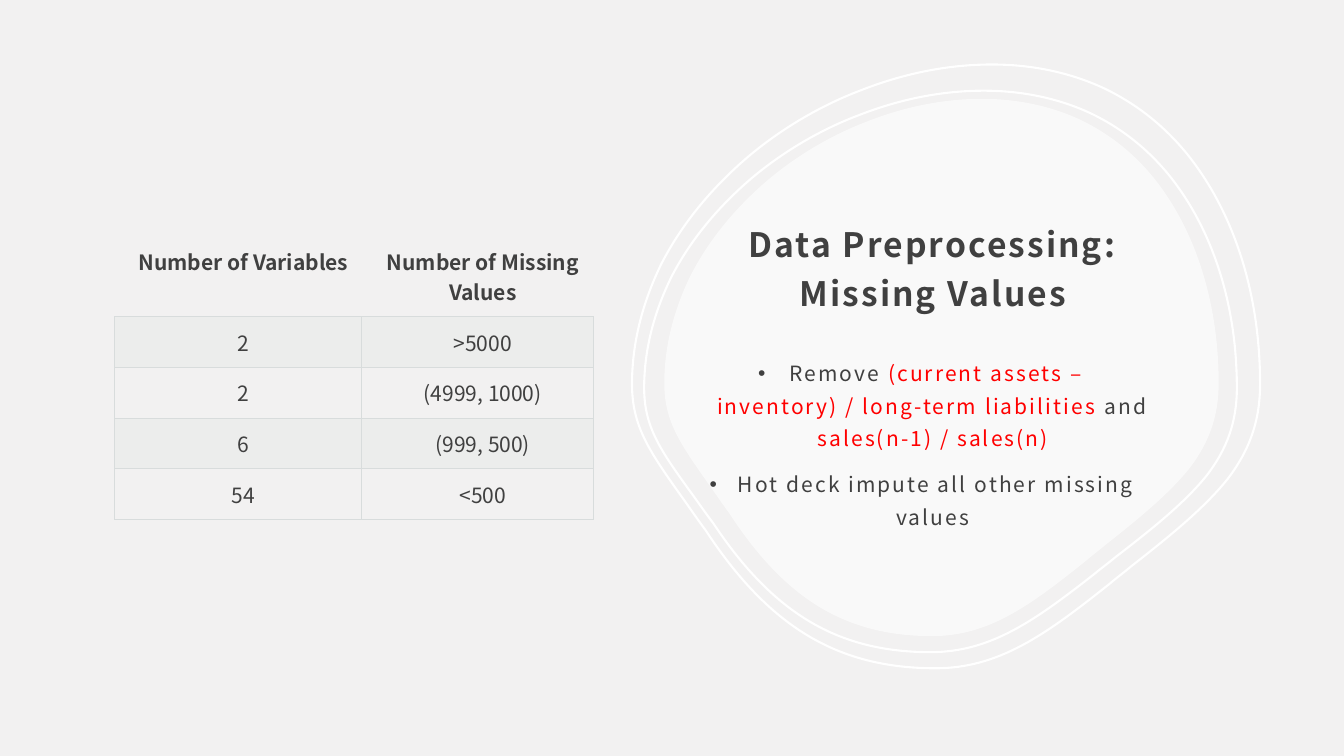
from dataclasses import dataclass
from pptx import Presentation
from pptx import util as u
from pptx.dml.color import RGBColor
from pptx.enum import text
from pptx.oxml import parse_xml
from pptx.oxml.ns import nsdecls, qn


@dataclass(frozen=True)
class Theme:
    """Hold the colours and type of the slide."""
    font: str = "Noto Sans CJK JP"
    ink: str = "404040"
    red: str = "FF0000"
    back: str = "F2F1F1"
    white: str = "FFFFFF"
    band: str = "D8DEDC"
    rule: str = "D8DCDC"
    head: float = 24
    body: float = 15
    line: float = 1.5
    track: int = 150


T = Theme()
WIDE, HIGH = u.Pt(960), u.Pt(540)
TABLE = (8.55, 31.2, 35.63, 35.87)
TITLE = (51.9, 26.2, 35.03, 16.53)
BODY = (51.9, 45.07, 35.03, 27.6)
RINGS = [(47.93, 12, 44.1, 74.27), (47.03, 8.53, 46.73, 79.87)]
DISC = (49.43, 13.07, 41.25, 71.07)

SPAN = (623, 599)
START = (357, 0)
CURVES = [
    ((397, 0), (435, 8), (469, 24)),
    ((500, 39), (527, 60), (550, 88)),
    ((597, 146), (623, 227), (623, 317)),
    ((623, 353), (613, 382), (591, 411)),
    ((567, 441), (532, 469), (495, 498)),
    ((488, 504), (481, 509), (474, 515)),
    ((410, 566), (364, 599), (301, 599)),
    ((204, 599), (136, 558), (73, 462)),
    ((64, 450), (56, 438), (48, 427)),
    ((16, 382), (0, 358), (0, 317)),
    ((0, 277), (10, 237), (29, 198)),
    ((48, 161), (75, 127), (110, 96)),
    ((143, 67), (184, 42), (226, 26)),
    ((269, 9), (313, 0), (357, 0)),
]
ROWS = [
    ("Number of Variables", "Number of Missing Values"),
    ("2", ">5000"),
    ("2", "(4999, 1000)"),
    ("6", "(999, 500)"),
    ("54", "<500"),
]
POINTS = [
    [("Remove ", T.ink),
     ("(current assets – inventory) / long-term liabilities", T.red),
     (" and ", T.ink),
     ("sales(n-1) / sales(n)", T.red)],
    [("Hot deck impute all other missing values", T.ink)],
]


def rgb(code):
    """Turn a hex code into a colour."""
    return RGBColor.from_string(code)


def area(box):
    """Turn shares of the slide in percent into lengths."""
    x, y, w, h = box
    return [round(v * side / 100) for v, side in ((x, WIDE), (y, HIGH), (w, WIDE), (h, HIGH))]


def write(para, words, size=T.body, color=T.ink, bold=False, track=0):
    """Add a run of text to a centred paragraph."""
    para.alignment = text.PP_ALIGN.CENTER
    run = para.add_run()
    run.text = words
    font = run.font
    font.name, font.size, font.bold = T.font, u.Pt(size), bold
    font.color.rgb = rgb(color)
    if track:
        font._element.set("spc", str(track))


def fade(fill, color, share):
    """Set a solid fill with the given percentage of opacity."""
    fill.solid()
    fill.fore_color.rgb = rgb(color)
    tint = fill._xPr.find(qn("a:solidFill"))[0]
    tint.append(parse_xml(f'<a:alpha {nsdecls("a")} val="{share * 1000}"/>'))


def bend(shape):
    """Turn the straight sides of the blob into curves."""
    sides = list(shape._element.iter(qn("a:lnTo")))
    for side, curve in zip(sides, CURVES):
        spots = "".join(f'<a:pt x="{x}" y="{y}"/>' for x, y in curve)
        side.getparent().replace(side, parse_xml(
            f'<a:cubicBezTo {nsdecls("a")}>{spots}</a:cubicBezTo>'))


def blob(slide, box, layer, solid=False):
    """Draw the blob in its box as a ring or a pale disc."""
    x, y, w, h = area(box)
    pen = slide.shapes.build_freeform(*START, (w / SPAN[0], h / SPAN[1]))
    pen.add_line_segments([curve[-1] for curve in CURVES], close=True)
    shape = pen.convert_to_shape(x, y)
    bend(shape)
    shape.shadow.inherit = False
    if solid:
        fade(shape.fill, T.white, 60)
        shape.line.fill.background()
    else:
        shape.fill.background()
        shape.line.color.rgb = rgb(T.white)
        shape.line.width = u.Pt(T.line)
    slide.shapes._spTree.insert(layer + 2, shape._element)


def frame(holder, box, anchor):
    """Place a placeholder and return its text frame."""
    holder.left, holder.top, holder.width, holder.height = area(box)
    tf = holder.text_frame
    tf.word_wrap = True
    tf.auto_size = text.MSO_AUTO_SIZE.NONE
    tf.vertical_anchor = anchor
    tf.margin_left = tf.margin_right = tf.margin_top = u.Inches(0.12)
    tf.margin_bottom = u.Inches(0.1)
    return tf


def title(slide, box):
    """Write the title above the list."""
    para = frame(slide.shapes.title, box, text.MSO_ANCHOR.BOTTOM).paragraphs[0]
    para.line_spacing = 1.2
    para.space_before = u.Pt(0)
    write(para, "Data Preprocessing: Missing Values", size=T.head, bold=True, track=T.track)


def points(slide, box):
    """Write the bulleted list."""
    tf = frame(slide.placeholders[1], box, text.MSO_ANCHOR.TOP)
    for i, parts in enumerate(POINTS):
        para = tf.add_paragraph() if i else tf.paragraphs[0]
        para.line_spacing = 1.3
        para.space_before, para.space_after = u.Pt(9.3), u.Pt(0)
        for words, color in parts:
            write(para, words, color=color, track=T.track)
        props = para._p.get_or_add_pPr()
        props.set("marL", "0")
        props.set("indent", str(-u.Inches(0.31)))
        props.append(parse_xml(f'<a:buChar {nsdecls("a")} char="•"/>'))


def edge(cell, sides):
    """Rule the given sides of a cell."""
    props = cell._tc.get_or_add_tcPr()
    for i, side in enumerate(sides):
        props.insert(i, parse_xml(
            f'<a:ln{side} {nsdecls("a")} w="{u.Pt(0.75)}"><a:solidFill>'
            f'<a:srgbClr val="{T.rule}"/></a:solidFill></a:ln{side}>'))


def grid(slide, box):
    """Build the table of missing values."""
    x, y, w, h = area(box)
    table = slide.shapes.add_table(len(ROWS), 2, x, y, w, h).table
    table.first_row = table.horz_banding = False
    style = table._tbl.tblPr.find(qn("a:tableStyleId"))
    style.text = "{2D5ABB26-0587-4C30-8999-92F81FD0307C}"
    for col, size in zip(table.columns, (2.45, 2.3)):
        col.width = u.Inches(size)
    for r, words in enumerate(ROWS):
        table.rows[r].height = u.Inches(0.49 if r else 0.74)
        for c, word in enumerate(words):
            cell = table.cell(r, c)
            cell.margin_left = u.Inches(0.2)
            cell.margin_right = cell.margin_top = cell.margin_bottom = u.Inches(0.1)
            write(cell.text_frame.paragraphs[0], word, bold=r == 0)
            if r % 2:
                fade(cell.fill, T.band, 20)
            else:
                cell.fill.background()
            edge(cell, "LRTB" if r else "B")


def main():
    """Build the slide and save it."""
    deck = Presentation()
    deck.slide_width, deck.slide_height = WIDE, HIGH
    slide = deck.slides.add_slide(deck.slide_layouts[1])
    slide.background.fill.solid()
    slide.background.fill.fore_color.rgb = rgb(T.back)
    for i, box in enumerate(RINGS):
        blob(slide, box, i)
    blob(slide, DISC, len(RINGS), solid=True)
    title(slide, TITLE)
    points(slide, BODY)
    grid(slide, TABLE)
    deck.save("out.pptx")


if __name__ == "__main__":
    main()
